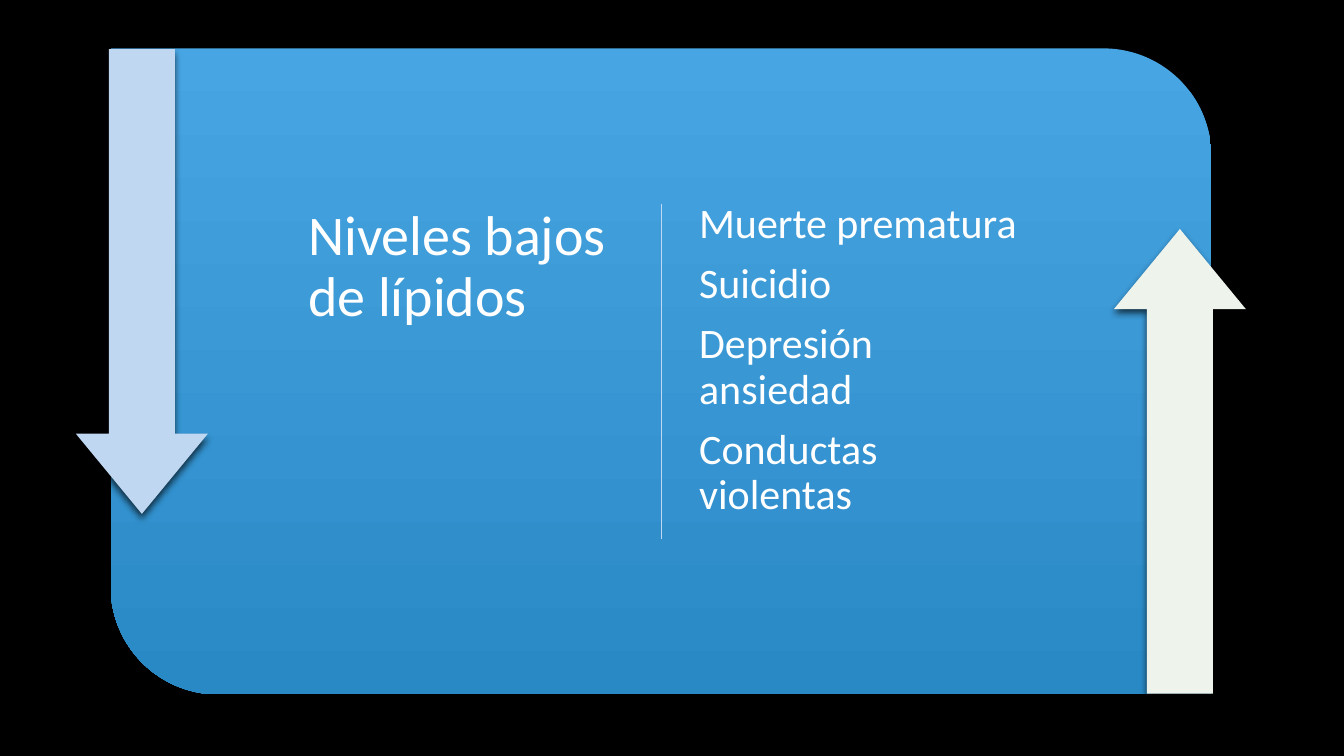
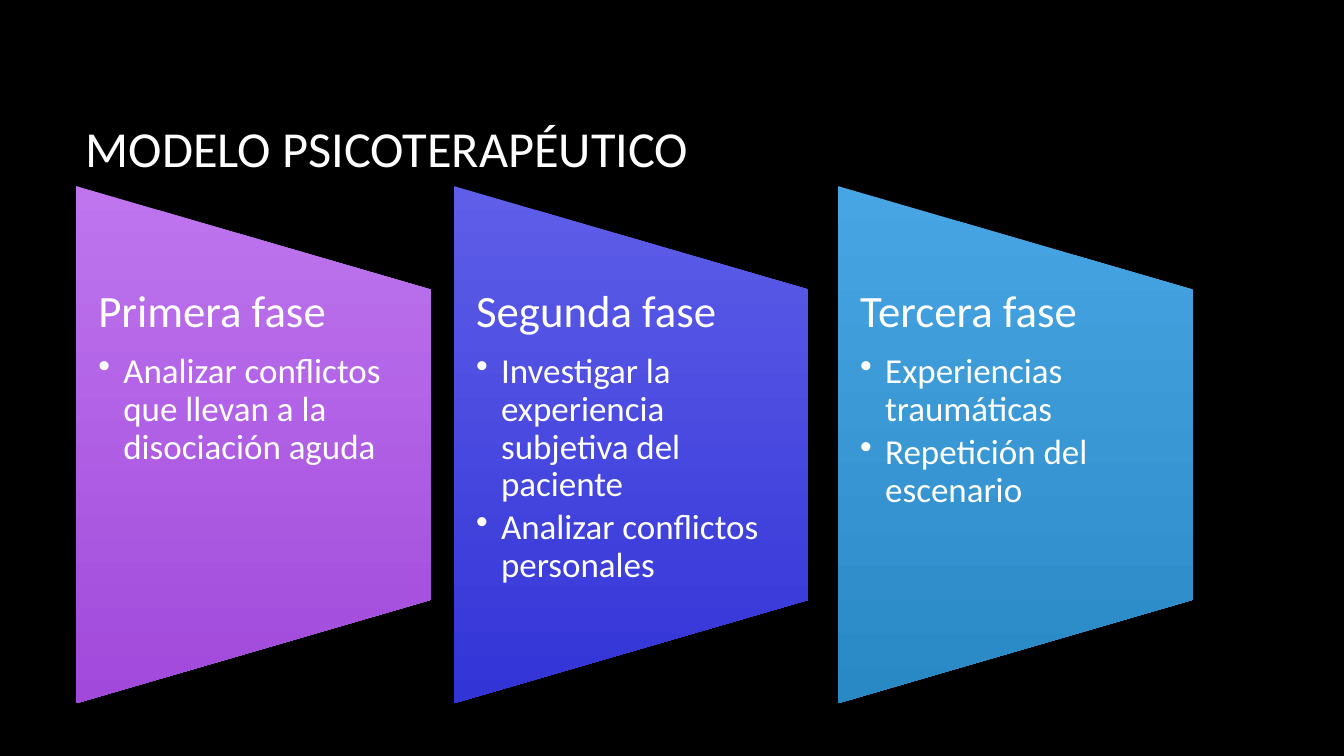
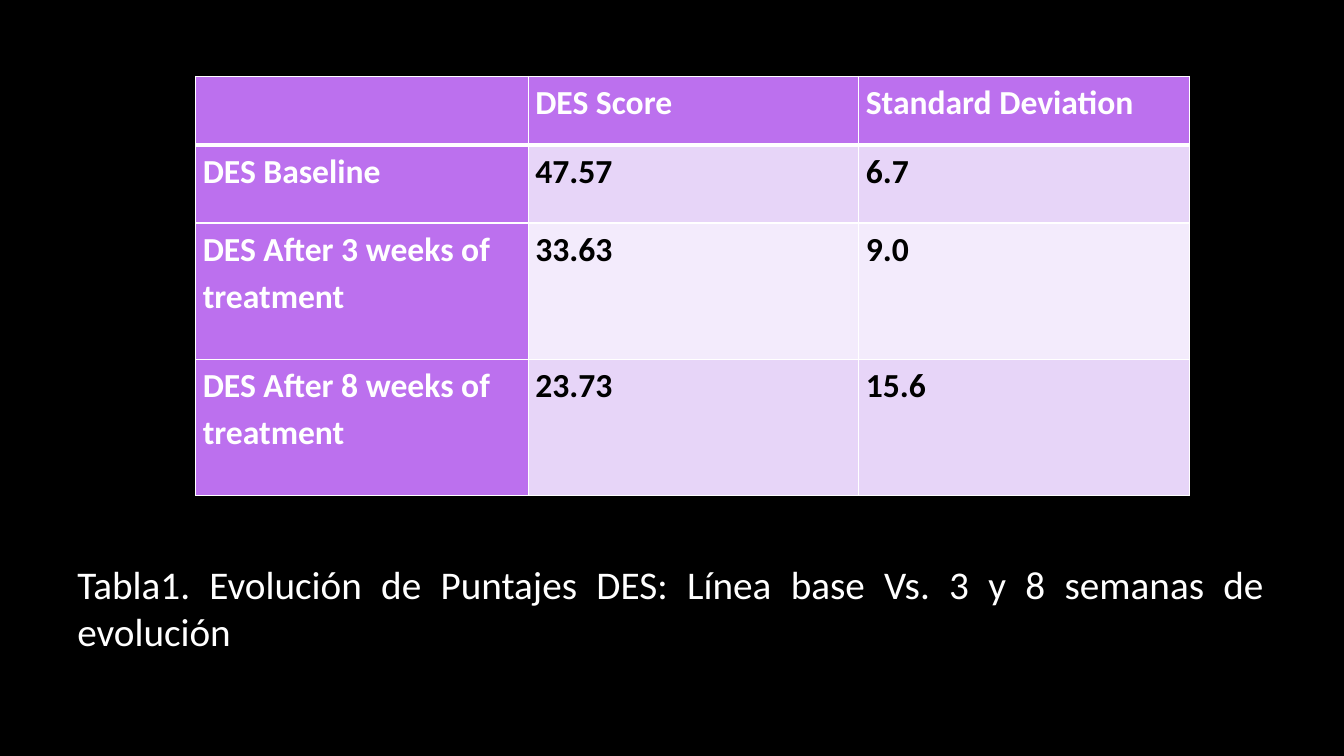
from lxml import etree
from pptx import Presentation
from pptx.dml.color import RGBColor
from pptx.enum.shapes import MSO_CONNECTOR, MSO_SHAPE
from pptx.enum.text import MSO_ANCHOR, PP_ALIGN
from pptx.oxml.ns import qn
from pptx.util import Cm, Pt

ROUNDED = MSO_SHAPE.ROUND_2_DIAG_RECTANGLE
ARROW = MSO_SHAPE.RIGHT_ARROW
TRAPEZOID = MSO_SHAPE.FLOWCHART_MANUAL_OPERATION
STRAIGHT = MSO_CONNECTOR.STRAIGHT
TOP, MIDDLE = MSO_ANCHOR.TOP, MSO_ANCHOR.MIDDLE
LEFT, JUSTIFY = PP_ALIGN.LEFT, PP_ALIGN.JUSTIFY

FONT = "Calibri"
BLACK = RGBColor(0x00, 0x00, 0x00)
WHITE = RGBColor(0xFF, 0xFF, 0xFF)
PALE_BLUE = RGBColor(0xC0, 0xD7, 0xF1)
PALE_GREEN = RGBColor(0xEE, 0xF4, 0xEC)
PURPLE = RGBColor(0xBC, 0x70, 0xEE)
LILAC = RGBColor(0xE7, 0xD5, 0xF8)
PALE_LILAC = RGBColor(0xF3, 0xEB, 0xFC)
BLUE_FADE = (RGBColor(0x48, 0xA5, 0xE3), RGBColor(0x29, 0x89, 0xC5))
VIOLET_FADE = (RGBColor(0xBE, 0x75, 0xEE), RGBColor(0xA1, 0x49, 0xDB))
INDIGO_FADE = (RGBColor(0x5E, 0x5E, 0xE9), RGBColor(0x33, 0x34, 0xD6))

CAUSE = "Niveles bajos de lípidos"
EFFECTS = ["Muerte prematura", "Suicidio", "Depresión ansiedad", "Conductas violentas"]
ARROWS = [(1.91, 1.24, 90, PALE_BLUE), (28.07, 5.77, 270, PALE_GREEN)]

MODEL_TITLE = "MODELO PSICOTERAPÉUTICO"
PHASES = [
    (1.92, VIOLET_FADE, "Primera fase",
     ["Analizar conflictos que llevan a la disociación aguda"]),
    (11.44, INDIGO_FADE, "Segunda fase",
     ["Investigar la experiencia subjetiva del paciente", "Analizar conflictos personales"]),
    (21.12, BLUE_FADE, "Tercera fase",
     ["Experiencias traumáticas", "Repetición del escenario"]),
]

SCORES = [
    ("", "DES Score", "Standard Deviation"),
    ("DES Baseline", "47.57", "6.7"),
    ("DES After 3 weeks of treatment", "33.63", "9.0"),
    ("DES After 8 weeks of treatment", "23.73", "15.6"),
]
COLUMN_WIDTHS = [8.38, 8.33, 8.33]
ROW_HEIGHTS = [1.73, 1.96, 3.43, 3.43]
CAPTION = "Tabla1. Evolución de Puntajes DES: Línea base Vs. 3 y 8 semanas de evolución"

deck = Presentation()
deck.slide_width, deck.slide_height = Cm(33.87), Cm(19.05)


def add_page():
    page = deck.slides.add_slide(deck.slide_layouts[6])
    page.background.fill.solid()
    page.background.fill.fore_color.rgb = BLACK
    return page


def style(para, size, color=WHITE, bold=False):
    for span in para.runs:
        span.font.name = FONT
        span.font.size = Pt(size)
        span.font.bold = bold
        span.font.color.rgb = color


def add_text(page, bounds, lines, size, inset=(0.25, 0.13), anchor=TOP,
             align=LEFT, spacing=1, after=0):
    box = page.shapes.add_textbox(*map(Cm, bounds))
    frame = box.text_frame
    frame.word_wrap = True
    frame.vertical_anchor = anchor
    frame.margin_left = frame.margin_right = Cm(inset[0])
    frame.margin_top = frame.margin_bottom = Cm(inset[1])
    frame.text = "\n".join(lines)
    for para in frame.paragraphs:
        para.alignment = align
        para.line_spacing = spacing
        para.space_after = Pt(size * after)
        style(para, size)
    return frame


def add_bullet(para, size):
    style(para, size)
    para.space_after = Pt(size * 0.15)
    properties = para._p.get_or_add_pPr()
    properties.set("marL", str(Cm(0.63)))
    properties.set("indent", str(Cm(-0.63)))
    etree.SubElement(properties, qn("a:buChar"), char="•")


def add_shadow(shape):
    shape.shadow.inherit = False
    effects = shape._element.spPr.find(qn("a:effectLst"))
    shadow = etree.SubElement(effects, qn("a:outerShdw"), blurRad=str(Pt(5)),
                              dist=str(Pt(3)), dir="5400000", rotWithShape="0")
    color = etree.SubElement(shadow, qn("a:srgbClr"), val=str(BLACK))
    etree.SubElement(color, qn("a:alpha"), val="65000")


def add_panel(page, preset, bounds, paint, turn=0):
    left, top, width, height = bounds
    if turn:
        left, top = left + (width - height) / 2, top + (height - width) / 2
        width, height = height, width
    shape = page.shapes.add_shape(preset, Cm(left), Cm(top), Cm(width), Cm(height))
    shape.rotation = turn
    shape.line.fill.background()
    if isinstance(paint, RGBColor):
        shape.fill.solid()
        shape.fill.fore_color.rgb = paint
    else:
        shape.fill.gradient()
        shape.fill.gradient_angle = 270
        for stop, color in zip(shape.fill.gradient_stops, paint):
            stop.color.rgb = color
        shape._element.spPr.find(qn("a:gradFill")).set("rotWithShape", "0")
    add_shadow(shape)
    return shape


def set_borders(cell, widths):
    properties = cell._tc.get_or_add_tcPr()
    for index, (side, width) in enumerate(zip("LRTB", widths)):
        line = etree.Element(qn("a:ln" + side), w=str(Pt(width)))
        fill = etree.SubElement(line, qn("a:solidFill"))
        etree.SubElement(fill, qn("a:srgbClr"), val=str(WHITE))
        properties.insert(index, line)


def build_lipids():
    page = add_page()
    panel = add_panel(page, ROUNDED, (2.79, 1.22, 27.74, 16.28), BLUE_FADE)
    panel.adjustments[0], panel.adjustments[1] = 0, 0.167
    divider = page.shapes.add_connector(STRAIGHT, Cm(16.66), Cm(5.13), Cm(16.66), Cm(13.59))
    divider.line.color.rgb = PALE_BLUE
    divider.line.width = Pt(0.75)
    etree.SubElement(divider._element.spPr, qn("a:effectLst"))
    add_text(page, (7.34, 4.8, 8.66, 9.12), [CAUSE], 40, (0.43, 0.43), spacing=0.9, after=0.35)
    add_text(page, (17.32, 4.8, 8.66, 9.12), EFFECTS, 30, (0.3, 0.3), spacing=0.9, after=0.35)
    for left, top, turn, color in ARROWS:
        arrow = add_panel(page, ARROW, (left, top, 3.33, 11.71), color, turn)
        arrow.adjustments[0], arrow.adjustments[1] = 0.498, 0.607


def build_phases():
    page = add_page()
    add_text(page, (1.91, 1.7, 28.14, 4.04), [MODEL_TITLE], 36, anchor=MIDDLE)
    for left, fade, heading, points in PHASES:
        add_panel(page, TRAPEZOID, (left, 4.69, 8.94, 13.03), fade, 270)
        frame = add_text(page, (left, 7.29, 8.94, 7.82), [heading] + points, 32,
                         (0.56, 0), spacing=0.9, after=0.35)
        for para in frame.paragraphs[1:]:
            add_bullet(para, 25)


def build_scores():
    page = add_page()
    table = page.shapes.add_table(
        len(SCORES), len(COLUMN_WIDTHS), Cm(4.93), Cm(1.93),
        Cm(sum(COLUMN_WIDTHS)), Cm(sum(ROW_HEIGHTS))).table
    for column, width in zip(table.columns, COLUMN_WIDTHS):
        column.width = Cm(width)
    for row, height in zip(table.rows, ROW_HEIGHTS):
        row.height = Cm(height)
    for r, values in enumerate(SCORES):
        for c, value in enumerate(values):
            cell = table.cell(r, c)
            label = r == 0 or c == 0
            cell.margin_left = cell.margin_right = Cm(0.18)
            cell.margin_top = cell.margin_bottom = 0
            cell.fill.solid()
            cell.fill.fore_color.rgb = PURPLE if label else LILAC if r % 2 else PALE_LILAC
            cell.text_frame.text = value
            para = cell.text_frame.paragraphs[0]
            para.line_spacing = 1.15
            style(para, 24, WHITE if label else BLACK, True)
            set_borders(cell, (1, 1, 3 if r == 1 else 1, 3 if r == 0 else 1))
    add_text(page, (1.7, 14, 30.4, 2.64), [CAPTION], 28, align=JUSTIFY)


build_lipids()
build_phases()
build_scores()
deck.save("out.pptx")
